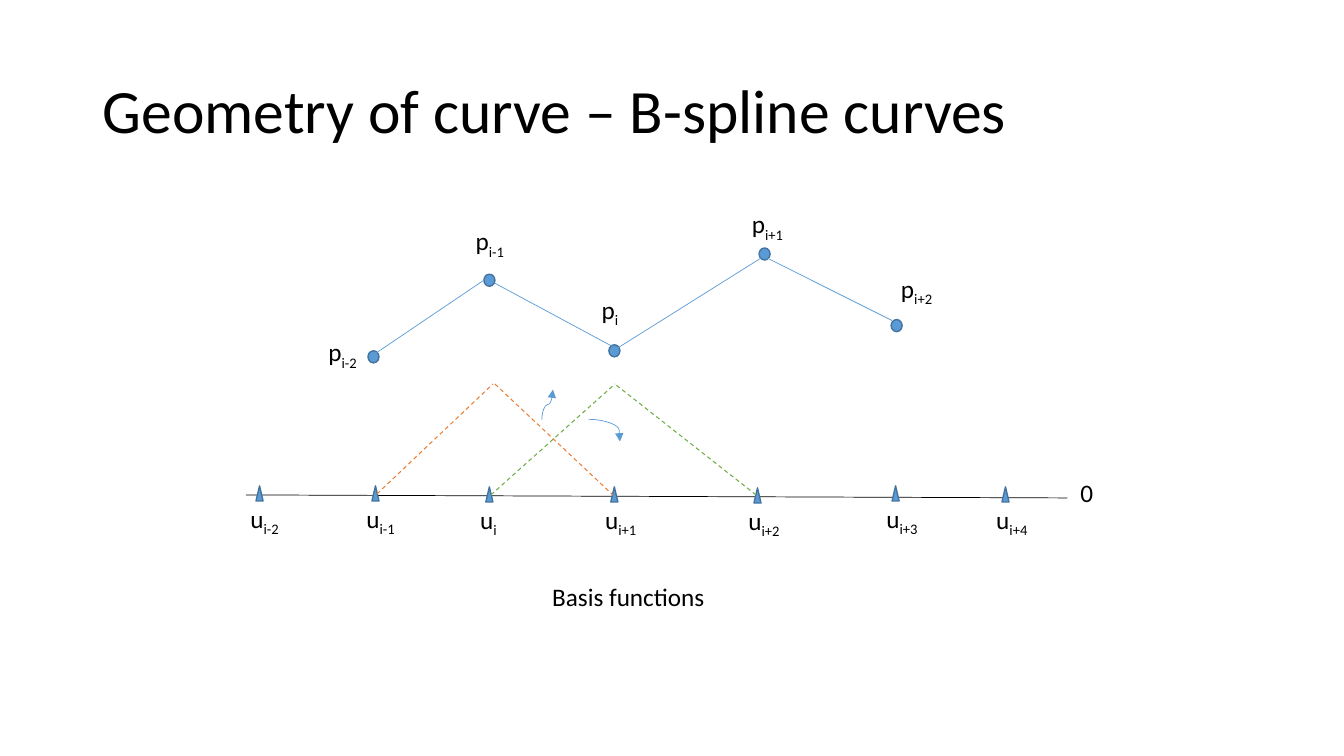
from dataclasses import dataclass
from lxml import etree
from pptx import Presentation
from pptx.dml.color import RGBColor
from pptx.enum.dml import MSO_LINE
from pptx.enum.shapes import MSO_CONNECTOR as LINK, MSO_SHAPE as SHAPE
from pptx.enum.text import MSO_ANCHOR, MSO_AUTO_SIZE
from pptx.oxml.ns import qn
from pptx.util import Inches, Pt


@dataclass(frozen=True)
class Theme:
    font: str = "Calibri"
    title: int = 44
    body: int = 18
    hairline: float = 0.5
    dashed: float = 0.75
    outline: float = 1
    text: str = "000000"
    blue: str = "5B9BD5"
    edge: str = "43739E"
    orange: str = "ED7D31"
    green: str = "70AD47"


T = Theme()
COLS, ROWS, CELL = 133.33, 75, 0.1

TITLE = ("Geometry of curve – B-spline curves", (9.2, 4, 115, 14.5))
CAPTION = ("Basis functions", (53.8, 57.2, 17.3, 4))
ZERO = ("0", (106.2, 46.9, 3.3, 4))

CONTROL_POINTS = [
    ("i-2", (37.05, 35.4), (31.6, 32.9)),
    ("i-1", (48.55, 27.8), (46.2, 21.9)),
    ("i", (60.95, 34.8), (58.7, 28.7)),
    ("i+1", (75.85, 25.2), (73.6, 20.2)),
    ("i+2", (88.95, 32.3), (88.4, 26.6)),
]
KNOTS = [
    ("i-2", 25.75, 48.2), ("i-1", 37.25, 48.2), ("i", 48.55, 48.3),
    ("i+1", 60.95, 48.3), ("i+2", 75.15, 48.4), ("i+3", 88.85, 48.2),
    ("i+4", 99.75, 48.3),
]
AXIS = (24.4, 49.1, 105.9, 49.4)
POLYGON = [
    (36.9, 35.3, 48, 27.8), (49.1, 28.1, 61, 34.5),
    (61, 34.7, 75.5, 25.6), (75.3, 25.2, 88.5, 31.8),
]
BASIS = [
    (T.orange, (37.4, 49, 48.9, 38.1)), (T.orange, (49.1, 38.1, 60.8, 49.1)),
    (T.green, (48.7, 49.1, 61, 38.1)), (T.green, (75, 49.1, 61, 38.1)),
]
ARROWS = [((55.8, 40.7, 52.8, 39.6), 90, 0.5), ((58.4, 41.6, 61.5, 43.8), 0, 0.98)]

DOT, MARKER = (1.1, 1.2), (0.7, 1.5)
LABEL_HEIGHT, POINT_LABEL_WIDTH = 4, 7.6
KNOT_LABEL_WIDTHS = {"": 3.7, "-": 5.1, "+": 5.4}
KNOT_LABEL_SHIFT = (-1.9, 1.25)


def grid(*cells):
    return [Inches(c * CELL) for c in cells]


def color(value):
    return RGBColor.from_string(value)


def add_text(slide, box, text, sub="", size=T.body, wrap=False):
    tf = slide.shapes.add_textbox(*grid(*box)).text_frame
    tf.word_wrap = wrap
    tf.auto_size = MSO_AUTO_SIZE.SHAPE_TO_FIT_TEXT
    p = tf.paragraphs[0]
    p.text = text
    if sub:
        r = p.add_run()
        r.text = sub
        r._r.get_or_add_rPr().set("baseline", "-25000")
    for r in p.runs:
        r.font.name, r.font.size = T.font, Pt(size)
        r.font.color.rgb = color(T.text)
    return tf


def add_mark(slide, kind, left, top, size):
    sp = slide.shapes.add_shape(kind, *grid(left, top, *size))
    sp.shadow.inherit = False
    sp.fill.solid()
    sp.fill.fore_color.rgb = color(T.blue)
    sp.line.color.rgb = color(T.edge)
    sp.line.width = Pt(T.outline)


def add_line(slide, ends, tone, width=T.hairline, dash=False, kind=LINK.STRAIGHT):
    line = slide.shapes.add_connector(kind, *grid(*ends))
    line.line.color.rgb = color(tone)
    line.line.width = Pt(width)
    if dash:
        line.line.dash_style = MSO_LINE.DASH
    etree.SubElement(line._element.spPr, qn("a:effectLst"))
    return line


def add_curved_arrow(slide, ends, angle, bend):
    props = add_line(slide, ends, T.blue, kind=LINK.CURVE)._element.spPr
    props.find(qn("a:xfrm")).set("rot", str(angle * 60000))
    guides = props.find(qn("a:prstGeom")).find(qn("a:avLst"))
    etree.SubElement(guides, qn("a:gd"), name="adj1", fmla=f"val {round(bend * 100000)}")
    etree.SubElement(props.find(qn("a:ln")), qn("a:tailEnd"), type="triangle")


def main():
    prs = Presentation()
    prs.slide_width, prs.slide_height = grid(COLS, ROWS)
    slide = prs.slides.add_slide(prs.slide_layouts[6])

    text, box = TITLE
    tf = add_text(slide, box, text, size=T.title, wrap=True)
    tf.auto_size = MSO_AUTO_SIZE.NONE
    tf.vertical_anchor = MSO_ANCHOR.MIDDLE
    tf.paragraphs[0].line_spacing = 0.9

    for sub, (x, y), corner in CONTROL_POINTS:
        add_mark(slide, SHAPE.FLOWCHART_CONNECTOR, x - DOT[0] / 2, y - DOT[1] / 2, DOT)
        add_text(slide, (*corner, POINT_LABEL_WIDTH, LABEL_HEIGHT), "p", sub, wrap=True)
    for ends in POLYGON:
        add_line(slide, ends, T.blue)

    add_line(slide, AXIS, T.text)
    dx, dy = KNOT_LABEL_SHIFT
    for sub, x, top in KNOTS:
        add_mark(slide, SHAPE.ISOSCELES_TRIANGLE, x - MARKER[0] / 2, top, MARKER)
        width = KNOT_LABEL_WIDTHS[sub[1:2]]
        add_text(slide, (x + dx, top + dy, width, LABEL_HEIGHT), "u", sub)

    for tone, ends in BASIS:
        add_line(slide, ends, tone, T.dashed, dash=True)
    for ends, angle, bend in ARROWS:
        add_curved_arrow(slide, ends, angle, bend)
    for text, box in (ZERO, CAPTION):
        add_text(slide, box, text)

    prs.save("out.pptx")


if __name__ == "__main__":
    main()
